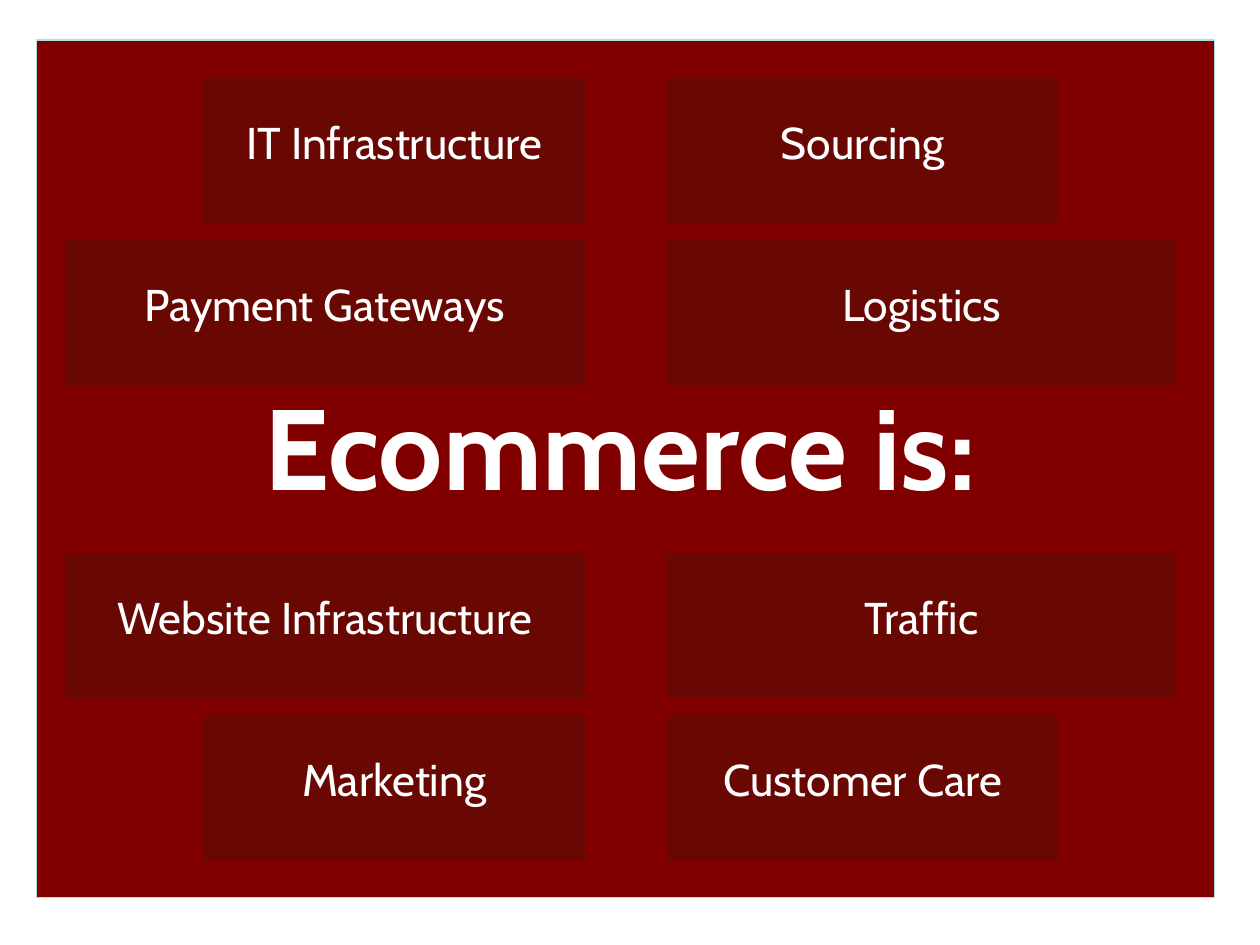
from dataclasses import dataclass

from pptx import Presentation
from pptx.dml.color import RGBColor
from pptx.enum.shapes import MSO_SHAPE
from pptx.enum.text import MSO_ANCHOR, PP_ALIGN
from pptx.util import Cm, Pt

RECT = MSO_SHAPE.RECTANGLE
BOTTOM = MSO_ANCHOR.BOTTOM
CENTER = PP_ALIGN.CENTER


@dataclass(frozen=True)
class Theme:
    panel: RGBColor = RGBColor(0x80, 0x00, 0x00)
    edge: RGBColor = RGBColor(0xB5, 0xDC, 0xDE)
    card: RGBColor = RGBColor(0x69, 0x07, 0x03)
    text: RGBColor = RGBColor(0xFF, 0xFF, 0xFF)
    font: str = "Cabin"
    title: Pt = Pt(72)
    label: Pt = Pt(28)
    line: Pt = Pt(0.75)


THEME = Theme()

ROW_STEP, CARD_HIGH = 3.6, 3.23
LEFT_END, RIGHT_START = 12.19, 14.02  # inner edges of the two columns
WIDE, NARROW = (11.56, 11.3), (8.48, 8.69)  # left and right card widths

# Each group: offset from the panel top, then rows of (left, right, widths)
GROUPS = [
    (0.84, [("IT Infrastructure", "Sourcing", NARROW),
            ("Payment Gateways", "Logistics", WIDE)]),
    (11.4, [("Website Infrastructure", "Traffic", WIDE),
            ("Marketing", "Customer Care", NARROW)]),
]
OUTLINED = "Traffic"


def add_rect(slide, box, fill, line=None):
    rect = slide.shapes.add_shape(RECT, *map(Cm, box))
    rect.shadow.inherit = False
    rect.fill.solid()
    rect.fill.fore_color.rgb = fill
    if line is None:
        rect.line.fill.background()
    else:
        rect.line.color.rgb = line
        rect.line.width = THEME.line
    return rect


def set_text(shape, text, size, bold=False):
    frame = shape.text_frame
    frame.word_wrap = True
    para = frame.paragraphs[0]
    para.text = text
    para.alignment = CENTER
    para.line_spacing = 0.93
    para.font.name = THEME.font
    para.font.size = size
    para.font.bold = bold
    para.font.color.rgb = THEME.text


def add_card(slide, box, text):
    line = THEME.panel if text == OUTLINED else None
    card = add_rect(slide, box, THEME.card, line)
    set_text(card, text, THEME.label)
    card.text_frame.vertical_anchor = BOTTOM
    card.text_frame.margin_bottom = Cm(1.2)


def add_group(slide, left, top, rows):
    """Stack rows of two cards that meet at the middle gap."""
    for i, (first, second, (wide_l, wide_r)) in enumerate(rows):
        y = top + i * ROW_STEP
        add_card(slide, (left + LEFT_END - wide_l, y, wide_l, CARD_HIGH), first)
        add_card(slide, (left + RIGHT_START, y, wide_r, CARD_HIGH), second)


def add_title(slide, box):
    title = slide.shapes.add_textbox(*map(Cm, box))
    set_text(title, "Ecommerce is:", THEME.title, bold=True)


def add_panel(slide, box):
    left, top, _, _ = box
    add_rect(slide, box, THEME.panel, THEME.edge)
    for drop, rows in GROUPS:
        add_group(slide, left, top + drop, rows)
    add_title(slide, (left + 0.64, top + 7.62, 24.66, 3.07))


def main():
    deck = Presentation()
    deck.slide_width, deck.slide_height = Cm(28), Cm(21)
    slide = deck.slides.add_slide(deck.slide_layouts[6])
    add_panel(slide, (0.81, 0.89, 26.19, 19.05))
    deck.save("out.pptx")


if __name__ == "__main__":
    main()
